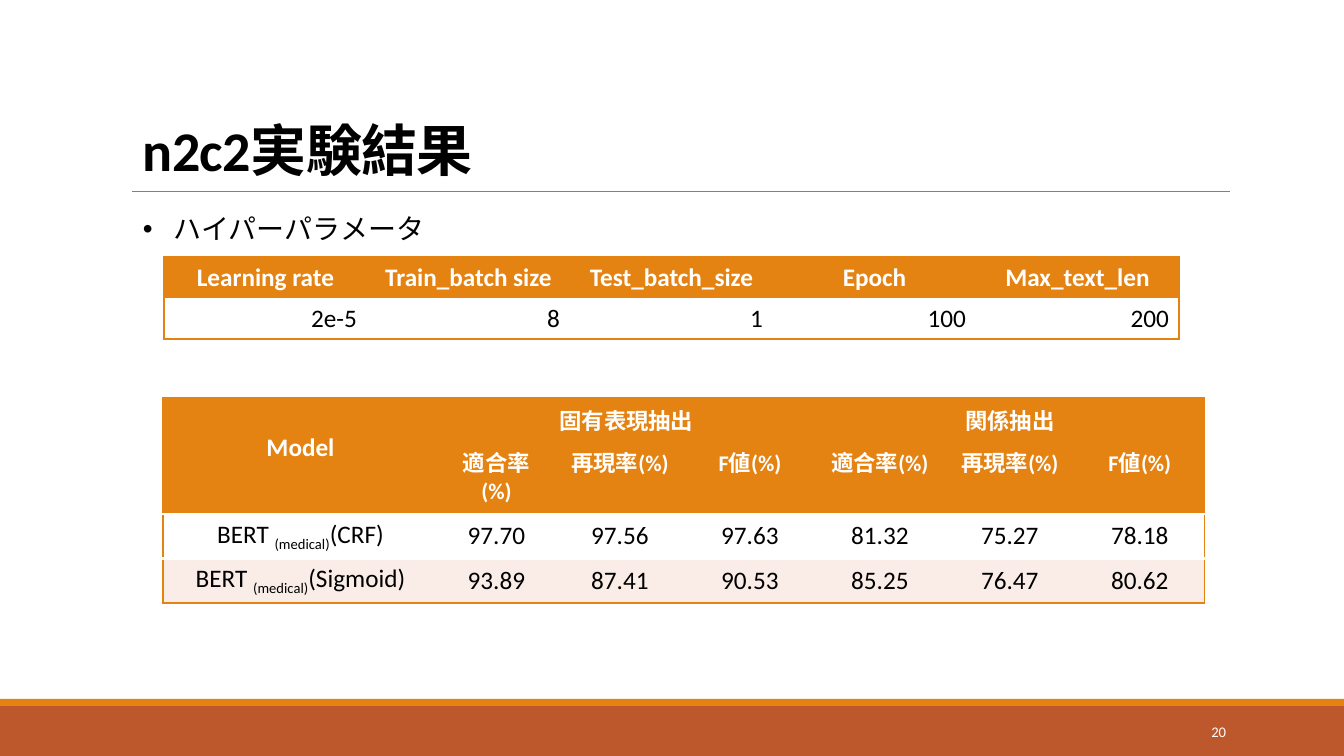
from dataclasses import dataclass

from lxml import etree
from pptx import Presentation
from pptx import util as u
from pptx.dml.color import RGBColor
from pptx.enum import shapes, text
from pptx.oxml.ns import qn

ALIGN = text.PP_ALIGN
ANCHOR = text.MSO_ANCHOR
NO_STYLE = "{2D5ABB26-0587-4C30-8999-92F81FD0307C}"


@dataclass(frozen=True)
class Theme:
    latin: str = "Calibri"
    japanese: str = "Noto Sans CJK JP"
    black: str = "000000"
    white: str = "FFFFFF"
    gray: str = "808080"
    orange: str = "E48312"
    rust: str = "BD582C"
    tint: str = "FAEDE7"
    title: float = 40
    bullet: float = 20
    table: float = 18
    header: float = 16
    number: float = 10.5


THEME = Theme()


def px(length):
    return u.Emu(round(length * 914400 / 100.8))


def rgb(color):
    return RGBColor.from_string(color)


def apply(target, **values):
    for name, value in values.items():
        setattr(target, name, value)


def paint(target, color):
    target.fill.solid()
    target.fill.fore_color.rgb = rgb(color)


def add_run(paragraph, words, size, color, bold=False, **attributes):
    """Add a run; attributes go straight onto its a:rPr."""
    run = paragraph.add_run()
    run.text = words
    apply(run.font, size=u.Pt(size), bold=bold, name=THEME.latin)
    run.font.color.rgb = rgb(color)
    properties = run._r.get_or_add_rPr()
    for name, value in attributes.items():
        properties.set(name, str(value))
    east_asian = etree.SubElement(properties, qn("a:ea"))
    east_asian.set("typeface", THEME.japanese)


def add_text(slide, box, words, size, color, anchor=ANCHOR.TOP, align=ALIGN.LEFT, **run_format):
    frame = slide.shapes.add_textbox(*map(px, box)).text_frame
    apply(frame, word_wrap=True, vertical_anchor=anchor)
    paragraph = frame.paragraphs[0]
    paragraph.alignment = align
    add_run(paragraph, words, size, color, **run_format)
    return paragraph


def add_bullet(paragraph, indent):
    properties = paragraph._p.get_or_add_pPr()
    properties.set("marL", str(px(indent)))
    properties.set("indent", str(-px(indent)))
    etree.SubElement(properties, qn("a:buFont")).set("typeface", "Arial")
    etree.SubElement(properties, qn("a:buChar")).set("char", "•")


def add_band(slide, top, height, color):
    band = slide.shapes.add_shape(
        shapes.MSO_SHAPE.RECTANGLE, 0, px(top), px(1344), px(height))
    band.shadow.inherit = False
    paint(band, color)
    band.line.fill.background()


def add_rule(slide, left, right, y):
    rule = slide.shapes.add_connector(
        shapes.MSO_CONNECTOR.STRAIGHT, px(left), px(y), px(right), px(y))
    rule.line.width = u.Pt(0.5)
    rule.line.color.rgb = rgb(THEME.gray)
    etree.SubElement(rule._element.spPr, qn("a:effectLst"))


def add_table(slide, left, top, widths, heights):
    frame = slide.shapes.add_table(
        len(heights), len(widths), px(left), px(top), px(sum(widths)), px(sum(heights)))
    table = frame.table
    apply(table, first_row=False, horz_banding=False)
    table._tbl.find(".//" + qn("a:tableStyleId")).text = NO_STYLE
    for column, width in zip(table.columns, widths):
        column.width = px(width)
    for row, height in zip(table.rows, heights):
        row.height = px(height)
    return table


def draw_borders(table, white_rules=()):
    """Outline the table; white_rules lists the rows that start below a white rule."""
    last_row, last_column = len(table.rows) - 1, len(table.columns) - 1
    outline, gap = (THEME.orange, 1), (THEME.white, 2.25)
    for row in range(last_row + 1):
        for column in range(last_column + 1):
            edges = {
                "L": outline if column == 0 else None,
                "R": outline if column == last_column else None,
                "T": outline if row == 0 else gap if row in white_rules else None,
                "B": outline if row == last_row else gap if row + 1 in white_rules else None,
            }
            properties = table.cell(row, column)._tc.get_or_add_tcPr()
            for side, style in edges.items():
                if style:
                    color, width = style
                    line = etree.SubElement(properties, qn("a:ln" + side), w=str(u.Pt(width)))
                    fill = etree.SubElement(line, qn("a:solidFill"))
                    etree.SubElement(fill, qn("a:srgbClr"), val=color)


def fill_cell(cell, words, fill, size=THEME.table, header=False,
              align=ALIGN.CENTER, anchor=ANCHOR.TOP):
    """Write a cell; words may be a string or (words, baseline) pairs."""
    paint(cell, fill)
    cell.vertical_anchor = anchor
    paragraph = cell.text_frame.paragraphs[0]
    paragraph.alignment = align
    color = THEME.white if header else THEME.black
    for part, baseline in [(words, 0)] if isinstance(words, str) else words:
        add_run(paragraph, part, size, color, bold=header, baseline=baseline)


def add_parameters(slide):
    parameters = {"Learning rate": "2e-5", "Train_batch size": "8",
                  "Test_batch_size": "1", "Epoch": "100", "Max_text_len": "200"}
    table = add_table(slide, 164, 257, [203] * 5, [41] * 2)
    draw_borders(table)
    for column, (name, value) in enumerate(parameters.items()):
        fill_cell(table.cell(0, column), name, THEME.orange, header=True)
        fill_cell(table.cell(1, column), value, THEME.white, align=ALIGN.RIGHT)


def add_results(slide):
    tasks = ["固有表現抽出", "関係抽出"]
    metrics = ["適合率(%)", "再現率(%)", "F値(%)"]
    results = [
        ("(CRF)", THEME.white, ["97.70", "97.56", "97.63", "81.32", "75.27", "78.18"]),
        ("(Sigmoid)", THEME.tint, ["93.89", "87.41", "90.53", "85.25", "76.47", "80.62"]),
    ]
    table = add_table(slide, 163, 398, [275, 117] + [130] * 5, [43, 73, 44, 44])
    draw_borders(table, white_rules=(2, 3))

    model = table.cell(0, 0)
    model.merge(table.cell(1, 0))
    fill_cell(model, "Model", THEME.orange, header=True, anchor=ANCHOR.MIDDLE)
    model.margin_bottom = px(21)
    for index, task in enumerate(tasks):
        first = 1 + index * len(metrics)
        heading = table.cell(0, first)
        heading.merge(table.cell(0, first + len(metrics) - 1))
        fill_cell(heading, task, THEME.orange, THEME.header, True, anchor=ANCHOR.MIDDLE)
        for column, metric in enumerate(metrics, first):
            fill_cell(table.cell(1, column), metric, THEME.orange, THEME.header, True)
    for row, (layer, fill, scores) in enumerate(results, 2):
        name = [("BERT ", 0), ("(medical)", -25000), (layer, 0)]
        fill_cell(table.cell(row, 0), name, fill)
        for column, score in enumerate(scores, 1):
            fill_cell(table.cell(row, column), score, fill, anchor=ANCHOR.MIDDLE)


def main():
    presentation = Presentation()
    apply(presentation, slide_width=px(1344), slide_height=px(756))
    slide = presentation.slides.add_slide(presentation.slide_layouts[6])
    add_band(slide, 706, 50, THEME.rust)
    add_band(slide, 699, 7, THEME.orange)
    add_rule(slide, 132, 1230, 191)
    title = add_text(slide, (133, 83, 1102, 105), "n2c2実験結果", THEME.title,
                     THEME.black, ANCHOR.BOTTOM, bold=True, spc=-50)
    title.line_spacing = 0.85
    add_text(slide, (1092, 712, 144, 40), "20", THEME.number,
             THEME.white, ANCHOR.MIDDLE, ALIGN.RIGHT)
    add_results(slide)
    add_parameters(slide)
    topic = add_text(slide, (133, 207, 977, 44), "ハイパーパラメータ", THEME.bullet, THEME.black)
    add_bullet(topic, 31)
    presentation.save("out.pptx")


if __name__ == "__main__":
    main()
